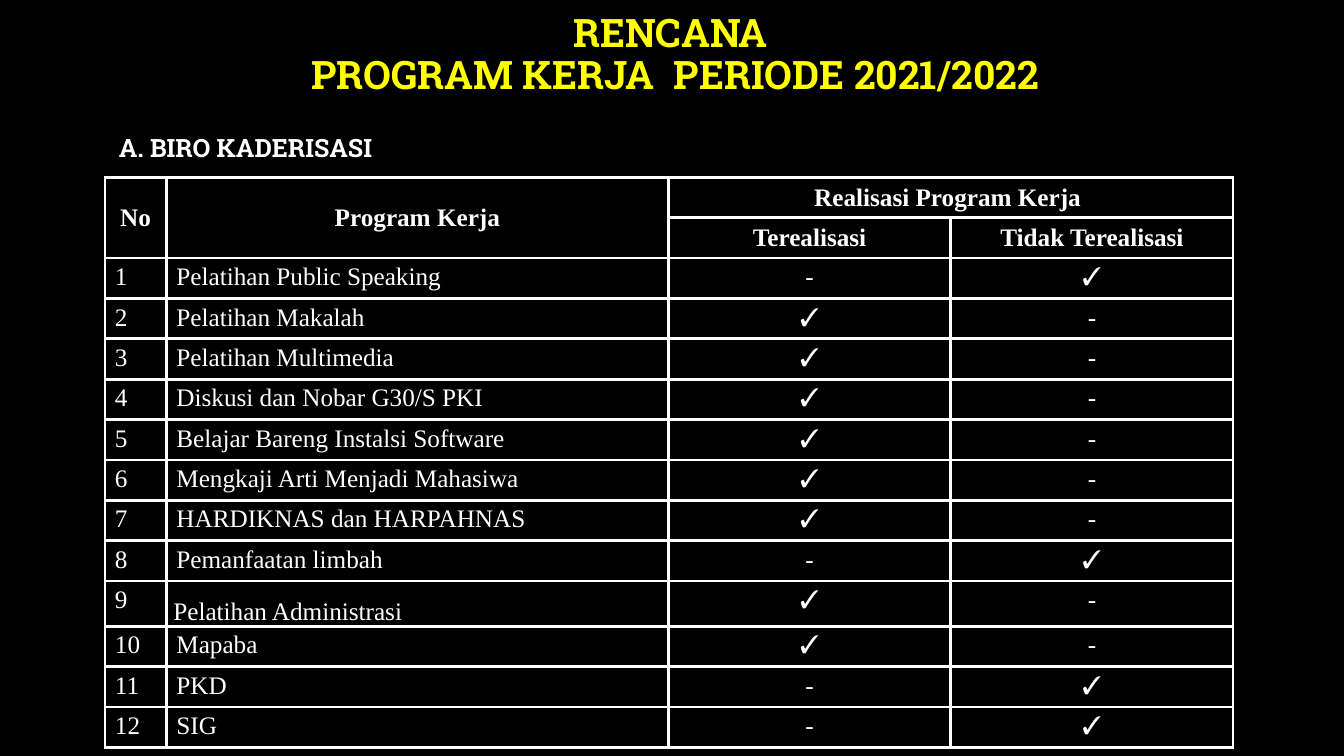
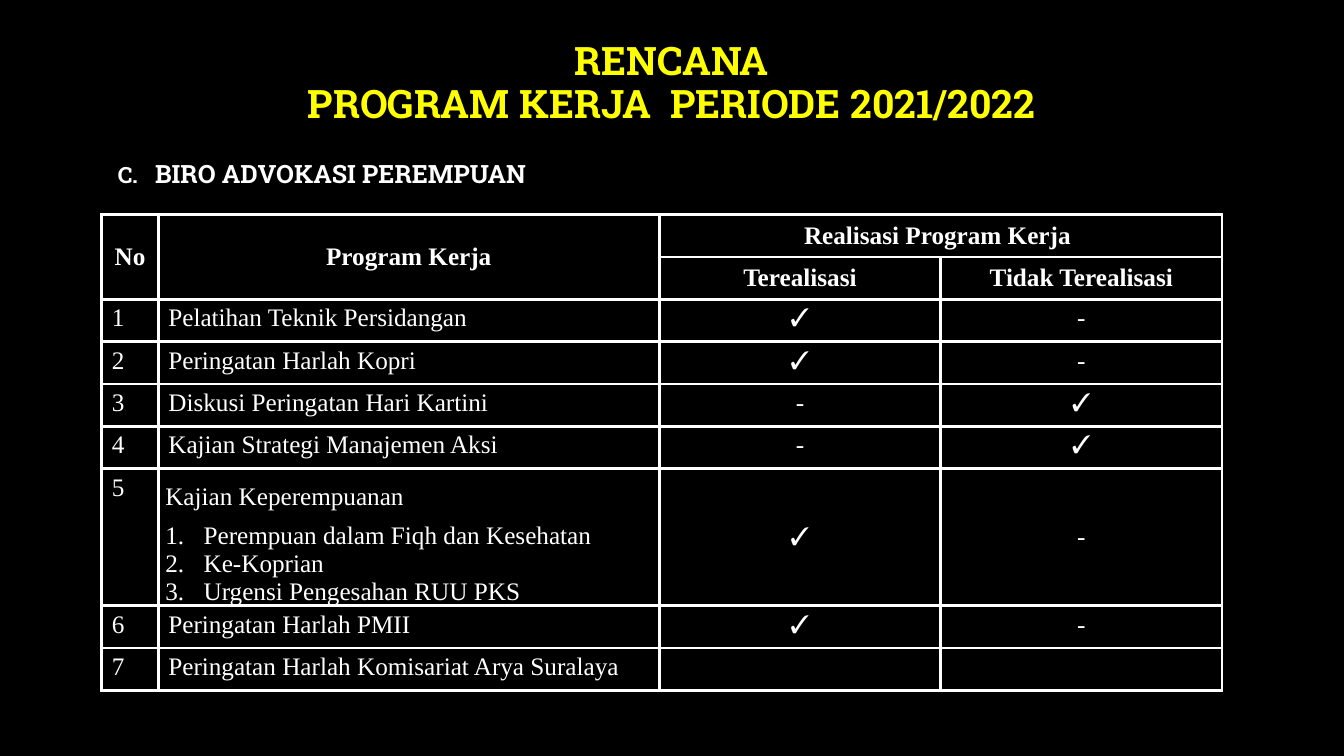
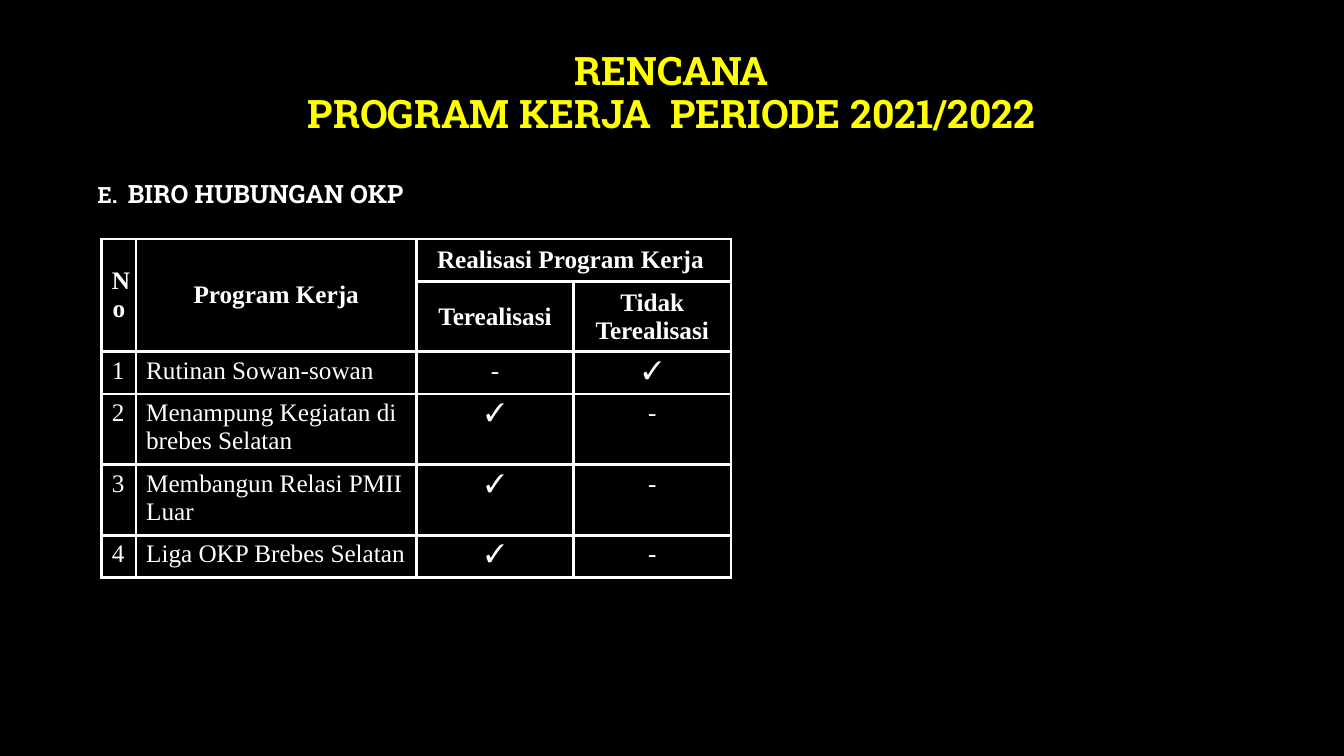
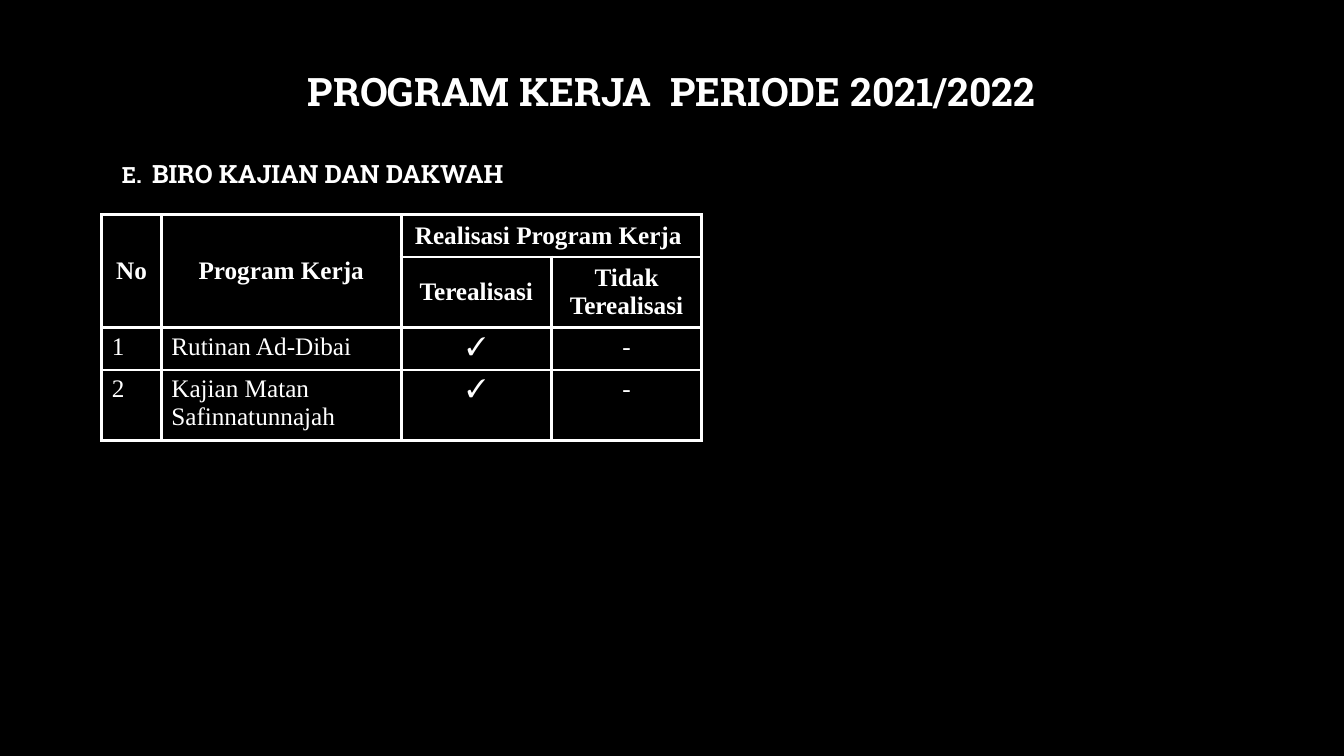
from dataclasses import dataclass

from lxml import etree
from pptx import Presentation
from pptx.dml.color import RGBColor
from pptx.enum.text import MSO_ANCHOR, PP_ALIGN
from pptx.oxml.ns import qn
from pptx.util import Inches, Pt

LEFT, CENTER, JUSTIFY = PP_ALIGN.LEFT, PP_ALIGN.CENTER, PP_ALIGN.JUSTIFY
TOP, MIDDLE, BOTTOM = MSO_ANCHOR.TOP, MSO_ANCHOR.MIDDLE, MSO_ANCHOR.BOTTOM

COLORS = {"background": "000000", "text": "FFFFFF", "title": "FFFF00"}
TITLE_FONT, TABLE_FONT = "Roboto Slab", "Times New Roman"
BORDER_WIDTH = Pt(2.25)
PERIOD = "PROGRAM KERJA  PERIODE 2021/2022"
MARKS = {True: ("✓", "-"), False: ("-", "✓"), None: ("", "")}


@dataclass
class Program:
    name: str
    done: bool | None
    topics: tuple = ()
    loose: bool = False  # bottom-anchored name with wide line spacing


def rgb(name):
    return RGBColor.from_string(COLORS[name])


def write(paragraph, text, *, size=18, font=TABLE_FONT, color="text", bold=False,
          align=LEFT, line_spacing=None, space_after=None):
    """Append text to a paragraph; a newline becomes a line break."""
    paragraph.alignment = align
    if line_spacing:
        paragraph.line_spacing = line_spacing
    if space_after:
        paragraph.space_after = Pt(space_after)
    for index, line in enumerate(text.split("\n")):
        if index:
            paragraph.add_line_break()
        run = paragraph.add_run()
        run.text = line
        run.font.size, run.font.name, run.font.bold = Pt(size), font, bold
        run.font.color.rgb = rgb(color)


def set_hanging_indent(paragraph, width):
    properties = paragraph._p.get_or_add_pPr()
    properties.set("marL", str(Inches(width)))
    properties.set("indent", str(-Inches(width)))
    return properties


def add_text_box(slide, box):
    frame = slide.shapes.add_textbox(*map(Inches, box)).text_frame
    frame.word_wrap = True
    frame.vertical_anchor = MIDDLE
    return frame.paragraphs[0]


def add_title(slide, box, text, color):
    write(add_text_box(slide, box), text, size=28, font=TITLE_FONT, color=color,
          bold=True, align=CENTER, line_spacing=0.9)


def add_heading(slide, box, label, name, label_size, gap):
    """Section letter, then the bureau name at a hanging indent."""
    paragraph = add_text_box(slide, box)
    set_hanging_indent(paragraph, gap)
    for text, size in ((label + "\t", label_size), (name, 18)):
        write(paragraph, text, size=size, font=TITLE_FONT, bold=True, line_spacing=0.9)


def style_cell(cell):
    """Draw white borders on all sides and leave the cell unfilled."""
    properties = cell._tc.get_or_add_tcPr()
    for side in ("a:lnL", "a:lnR", "a:lnT", "a:lnB"):
        line = etree.SubElement(properties, qn(side), w=str(BORDER_WIDTH))
        fill = etree.SubElement(line, qn("a:solidFill"))
        etree.SubElement(fill, qn("a:srgbClr"), val=COLORS["text"])
    cell.fill.background()


def fill_cell(cell, text, anchor=TOP, **text_format):
    cell.vertical_anchor = anchor
    if text:
        write(cell.text_frame.paragraphs[0], text, **text_format)


def fill_detail_cell(cell, program):
    """Name at the bottom of the cell, with its topics as a numbered list."""
    cell.margin_left = cell.margin_right = Inches(0.07)
    cell.margin_top = cell.margin_bottom = 0
    fill_cell(cell, program.name, BOTTOM, align=JUSTIFY, space_after=8,
              line_spacing=1.5 if program.loose else None)
    for topic in program.topics:
        paragraph = cell.text_frame.add_paragraph()
        properties = set_hanging_indent(paragraph, 0.38)
        etree.SubElement(properties, qn("a:buAutoNum"), type="arabicPeriod")
        write(paragraph, topic, align=JUSTIFY,
              space_after=8 if topic == program.topics[-1] else None)


def fill_header(table):
    for first, last in (((0, 0), (1, 0)), ((0, 1), (1, 1)), ((0, 2), (0, 3))):
        table.cell(*first).merge(table.cell(*last))
    headers = {(0, 0): "No", (0, 1): "Program Kerja", (0, 2): "Realisasi Program Kerja ",
               (1, 2): "Terealisasi", (1, 3): "Tidak Terealisasi"}
    for position, text in headers.items():
        fill_cell(table.cell(*position), text, MIDDLE, bold=True, align=CENTER)


def add_program_table(slide, left, top, widths, row_height, programs):
    heights = [row_height] * 2 + [1.36 if program.topics else row_height
                                  for program in programs]
    box = (left, top, sum(widths), sum(heights))
    table = slide.shapes.add_table(len(heights), len(widths), *map(Inches, box)).table
    table.first_row = table.horz_banding = False
    for column, width in zip(table.columns, widths):
        column.width = Inches(width)
    for row, height in zip(table.rows, heights):
        row.height = Inches(height)
    for cell in table.iter_cells():
        style_cell(cell)
    fill_header(table)
    for number, program in enumerate(programs, 1):
        number_cell, name_cell, *mark_cells = table.rows[number + 1].cells
        fill_cell(number_cell, str(number))
        if program.topics or program.loose:
            fill_detail_cell(name_cell, program)
        else:
            fill_cell(name_cell, program.name)
        for cell, mark in zip(mark_cells, MARKS[program.done]):
            fill_cell(cell, mark, MIDDLE if program.topics else TOP, align=CENTER)


def add_program_slide(presentation, title, table, heading):
    slide = presentation.slides.add_slide(presentation.slide_layouts[6])
    slide.background.fill.solid()
    slide.background.fill.fore_color.rgb = rgb("background")
    add_title(slide, **title)
    add_program_table(slide, **table)
    add_heading(slide, **heading)


SLIDES = [
    {
        "title": {"box": (2.45, -0.01, 8.49, 1.13), "text": "RENCANA \n" + PERIOD,
                  "color": "title"},
        "heading": {"box": (1.08, 1.09, 5.4, 0.78), "label": "A.",
                    "name": "BIRO KADERISASI", "label_size": 18, "gap": 0.31},
        "table": {"left": 1.04, "top": 1.76, "widths": (0.61, 4.98, 2.8, 2.8),
                  "row_height": 0.4, "programs": [
            Program("Pelatihan Public Speaking", False),
            Program("Pelatihan Makalah", True),
            Program("Pelatihan Multimedia", True),
            Program("Diskusi dan Nobar G30/S PKI", True),
            Program("Belajar Bareng Instalsi Software", True),
            Program("Mengkaji Arti Menjadi Mahasiwa", True),
            Program("HARDIKNAS dan HARPAHNAS", True),
            Program("Pemanfaatan limbah", False),
            Program("Pelatihan Administrasi", True, loose=True),
            Program("Mapaba", True),
            Program("PKD", False),
            Program("SIG", False),
        ]},
    },
    {
        "title": {"box": (2.38, 0.18, 8.56, 1.31), "text": "RENCANA\n" + PERIOD,
                  "color": "title"},
        "heading": {"box": (1.07, 1.35, 5.4, 0.78), "label": "C.",
                    "name": "BIRO ADVOKASI PEREMPUAN", "label_size": 16, "gap": 0.37},
        "table": {"left": 1.01, "top": 2.13, "widths": (0.56, 4.97, 2.79, 2.79),
                  "row_height": 0.42, "programs": [
            Program("Pelatihan Teknik Persidangan", True),
            Program("Peringatan Harlah Kopri", True),
            Program("Diskusi Peringatan Hari Kartini", False),
            Program("Kajian Strategi Manajemen Aksi", False),
            Program("Kajian Keperempuanan", True, topics=(
                "Perempuan dalam Fiqh dan Kesehatan",
                "Ke-Koprian",
                "Urgensi Pengesahan RUU PKS",
            )),
            Program("Peringatan Harlah PMII", True),
            Program("Peringatan Harlah Komisariat Arya Suralaya", None),
        ]},
    },
    {
        "title": {"box": (2.39, 0.37, 8.54, 1.13), "text": "RENCANA\n" + PERIOD,
                  "color": "title"},
        "heading": {"box": (0.87, 1.53, 5.4, 0.82), "label": "E.",
                    "name": "BIRO HUBUNGAN OKP", "label_size": 16, "gap": 0.3},
        "table": {"left": 1.01, "top": 2.37, "widths": (0.34, 2.78, 1.56, 1.56),
                  "row_height": 0.42, "programs": [
            Program("Rutinan Sowan-sowan", False),
            Program("Menampung Kegiatan di brebes Selatan", True),
            Program("Membangun Relasi PMII Luar", True),
            Program("Liga OKP Brebes Selatan", True),
        ]},
    },
    {
        "title": {"box": (2.39, 0.37, 8.54, 1.13), "text": PERIOD, "color": "text"},
        "heading": {"box": (1.11, 1.35, 5.4, 0.78), "label": "E.",
                    "name": "BIRO KAJIAN DAN DAKWAH", "label_size": 16, "gap": 0.3},
        "table": {"left": 1.01, "top": 2.13, "widths": (0.59, 2.38, 1.49, 1.49),
                  "row_height": 0.42, "programs": [
            Program("Rutinan Ad-Dibai", True),
            Program("Kajian Matan Safinnatunnajah", True),
        ]},
    },
]


def main():
    presentation = Presentation()
    presentation.slide_width, presentation.slide_height = Inches(13.33), Inches(7.5)
    for content in SLIDES:
        add_program_slide(presentation, **content)
    presentation.save("out.pptx")


if __name__ == "__main__":
    main()
